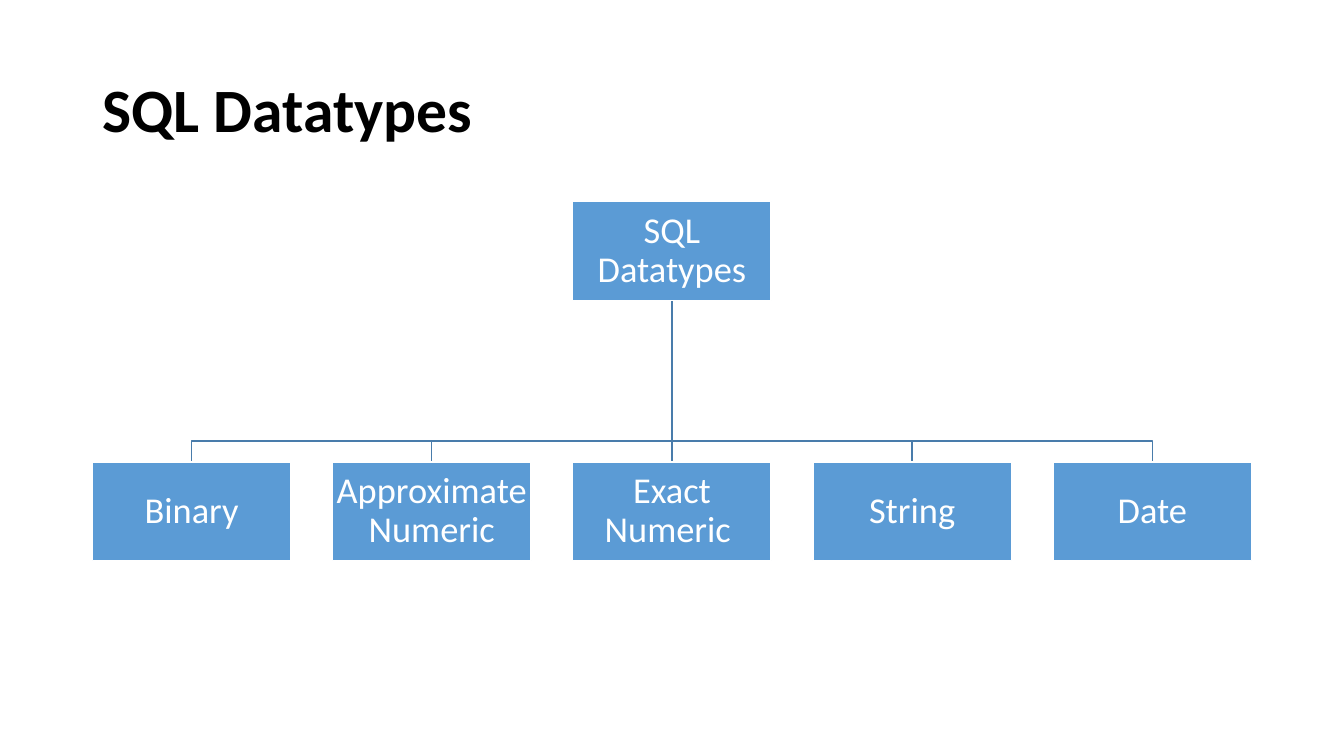
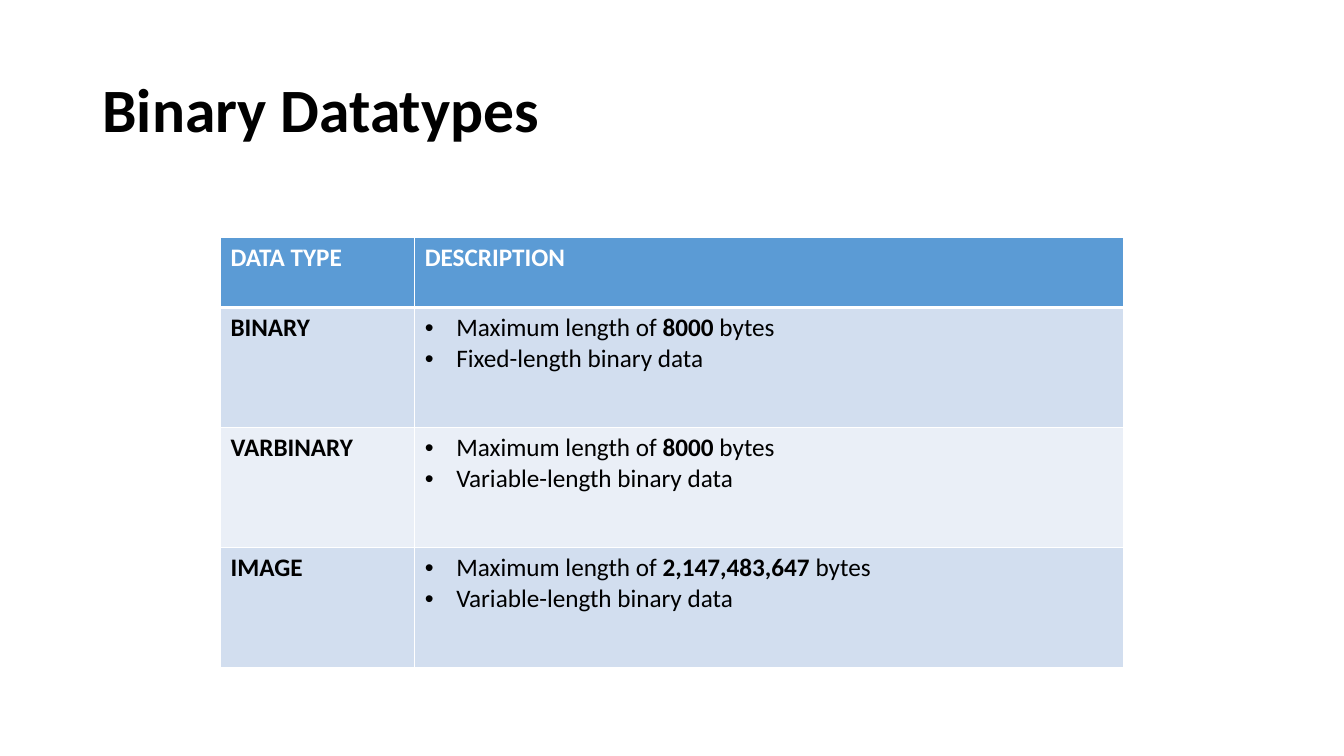
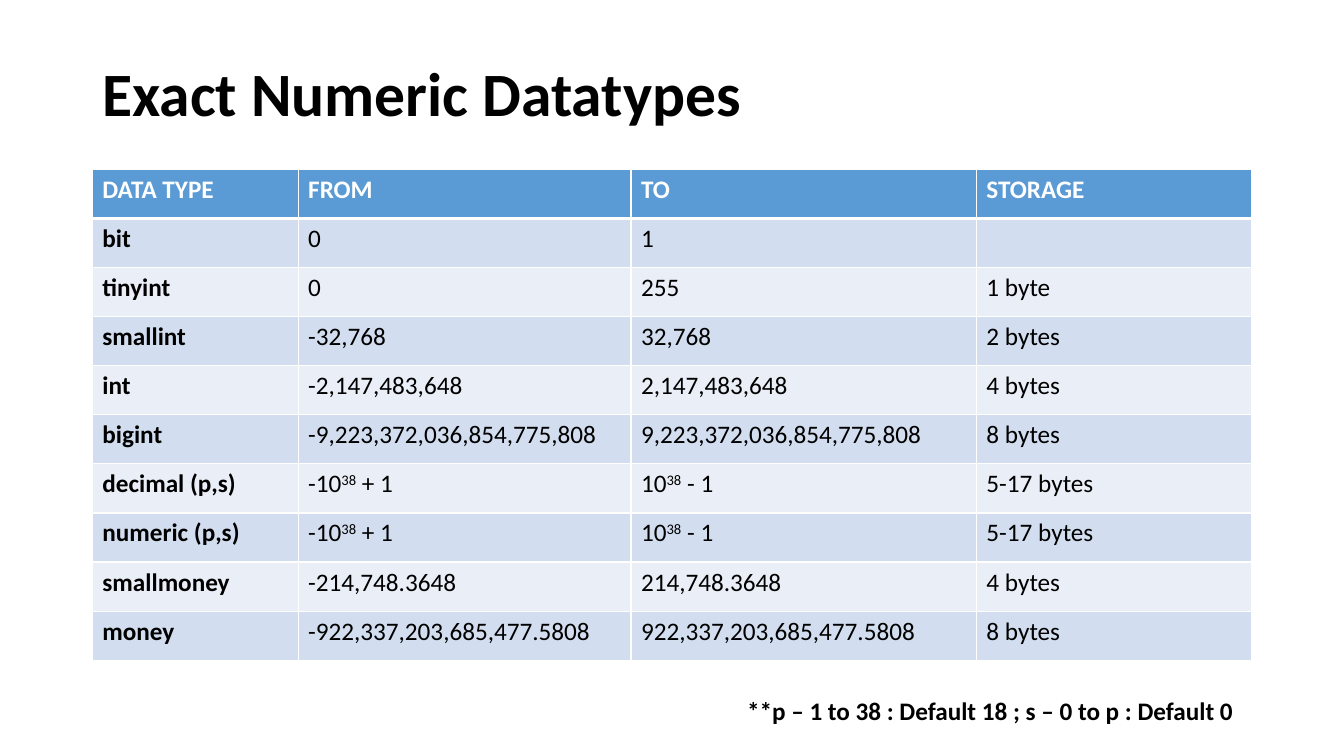
from lxml.etree import SubElement
from pptx import Presentation
from pptx.dml.color import RGBColor
from pptx.enum.shapes import MSO_CONNECTOR, MSO_SHAPE
from pptx.enum.text import MSO_ANCHOR, MSO_AUTO_SIZE, PP_ALIGN
from pptx.oxml.ns import qn
from pptx.util import Emu, Pt

EMU_PER_PX = 9525
FONT = "Calibri"
BLACK = RGBColor(0x00, 0x00, 0x00)
WHITE = RGBColor(0xFF, 0xFF, 0xFF)
BLUE = RGBColor(0x5B, 0x9B, 0xD5)
LINE_BLUE = RGBColor(0x49, 0x7C, 0xAB)
BANDS = (RGBColor(0xD2, 0xDE, 0xEF), RGBColor(0xEA, 0xEF, 0xF7))

LEFT, WIDTH = 88, 1104
TITLE_HEIGHT = 139
NODE_WIDTH, NODE_HEIGHT = 189, 94
DROP = 20
BULLET_INDENT = 30

DATATYPE_GROUPS = ["Binary", "Approximate Numeric", "Exact Numeric ", "String", "Date"]

# *...* marks bold, ^...^ marks superscript
BINARY_ROWS = [
    ["DATA TYPE", "DESCRIPTION"],
    ["BINARY", "Maximum length of *8000* bytes\nFixed-length binary data"],
    ["VARBINARY", "Maximum length of *8000* bytes\nVariable-length binary data"],
    ["IMAGE", "Maximum length of *2,147,483,647* bytes\nVariable-length binary data"],
]
NUMERIC_ROWS = [
    ["DATA TYPE", "FROM", "TO", "STORAGE"],
    ["bit", "0", "1", ""],
    ["tinyint", "0", "255", "1 byte"],
    ["smallint", "-32,768", "32,768", "2 bytes"],
    ["int", "-2,147,483,648", "2,147,483,648", "4 bytes"],
    ["bigint", "-9,223,372,036,854,775,808", "9,223,372,036,854,775,808", "8 bytes"],
    ["decimal (p,s)", "-10^38^ + 1", "10^38^ - 1", "5-17 bytes"],
    ["numeric (p,s)", "-10^38^ + 1", "10^38^ - 1", "5-17 bytes"],
    ["smallmoney", "-214,748.3648", "214,748.3648", "4 bytes"],
    ["money", "-922,337,203,685,477.5808", "922,337,203,685,477.5808", "8 bytes"],
]


def px(length):
    return Emu(round(length * EMU_PER_PX))


def style_font(font, size, color, bold=False):
    font.name = FONT
    font.size = Pt(size)
    font.color.rgb = color
    font.bold = bold


def add_titled_slide(prs, title, top):
    """Title Only slide with the shared title style."""
    slide = prs.slides.add_slide(prs.slide_layouts[5])
    heading = slide.shapes.title
    heading.left, heading.top = px(LEFT), px(top)
    heading.width, heading.height = px(WIDTH), px(TITLE_HEIGHT)
    frame = heading.text_frame
    frame.text = title
    frame.auto_size = MSO_AUTO_SIZE.NONE
    frame.vertical_anchor = MSO_ANCHOR.MIDDLE
    paragraph = frame.paragraphs[0]
    paragraph.alignment = PP_ALIGN.LEFT
    paragraph.line_spacing = 0.9
    style_font(paragraph.runs[0].font, 44, BLACK, True)
    return slide


# Hierarchy diagram
def add_node(slide, label, left, top):
    node = slide.shapes.add_shape(
        MSO_SHAPE.RECTANGLE, px(left), px(top), px(NODE_WIDTH), px(NODE_HEIGHT))
    node.shadow.inherit = False
    node.fill.solid()
    node.fill.fore_color.rgb = BLUE
    node.line.color.rgb = WHITE
    node.line.width = Pt(1)
    frame = node.text_frame
    frame.text = label
    frame.word_wrap = True
    frame.vertical_anchor = MSO_ANCHOR.MIDDLE
    frame.margin_left = frame.margin_right = px(2)
    frame.margin_top = frame.margin_bottom = px(2)
    paragraph = frame.paragraphs[0]
    paragraph.alignment = PP_ALIGN.CENTER
    paragraph.line_spacing = 0.9
    style_font(paragraph.runs[0].font, 26, WHITE)


def add_branch(slide, start_x, start_y, end_x, end_y):
    """Straight line to the child below, elbow to the others."""
    if start_x == end_x:
        branch = slide.shapes.add_connector(
            MSO_CONNECTOR.STRAIGHT, px(start_x), px(start_y), px(end_x), px(end_y))
        SubElement(branch._element.spPr, qn("a:effectLst"))
    else:
        bend_y = end_y - DROP
        builder = slide.shapes.build_freeform(px(start_x), px(start_y))
        corners = [(start_x, bend_y), (end_x, bend_y), (end_x, end_y)]
        builder.add_line_segments([(px(x), px(y)) for x, y in corners], close=False)
        branch = builder.convert_to_shape()
        branch.shadow.inherit = False
        branch.fill.background()
    branch.line.color.rgb = LINE_BLUE
    branch.line.width = Pt(1)


def add_hierarchy(slide, root, children, left, top, width, height):
    pitch = (width - NODE_WIDTH) / (len(children) - 1)
    root_left = left + (width - NODE_WIDTH) / 2
    child_top = top + height - NODE_HEIGHT
    child_lefts = [left + i * pitch for i in range(len(children))]
    half = NODE_WIDTH / 2
    for child_left in child_lefts:
        add_branch(slide, root_left + half, top + NODE_HEIGHT, child_left + half, child_top)
    add_node(slide, root, root_left, top)
    for label, child_left in zip(children, child_lefts):
        add_node(slide, label, child_left, child_top)


# Datatype tables
def set_borders(cell, row):
    weights = {"L": 1, "R": 1, "T": 3 if row == 1 else 1, "B": 3 if row == 0 else 1}
    properties = cell._tc.get_or_add_tcPr()
    for side, weight in weights.items():
        border = SubElement(properties, qn(f"a:ln{side}"), w=str(Pt(weight)))
        fill = SubElement(border, qn("a:solidFill"))
        SubElement(fill, qn("a:srgbClr"), val=str(WHITE))


def set_bullet(paragraph):
    properties = paragraph._p.get_or_add_pPr()
    properties.set("marL", str(px(BULLET_INDENT)))
    properties.set("indent", str(-px(BULLET_INDENT)))
    SubElement(properties, qn("a:buFont"), typeface="Arial")
    SubElement(properties, qn("a:buChar"), char="•")


def write_marked(paragraph, text, color, bold):
    mark = "^" if "^" in text else "*"
    for i, piece in enumerate(text.split(mark)):
        marked = i % 2 == 1
        run = paragraph.add_run()
        run.text = piece
        style_font(run.font, 18, color, bold or (marked and mark == "*"))
        if marked and mark == "^":
            run._r.get_or_add_rPr().set("baseline", "30000")


def fill_cell(cell, text, row, column, bulleted):
    header = row == 0
    set_borders(cell, row)
    cell.fill.solid()
    cell.fill.fore_color.rgb = BLUE if header else BANDS[(row - 1) % 2]
    frame = cell.text_frame
    for i, line in enumerate(text.split("\n")):
        paragraph = frame.add_paragraph() if i else frame.paragraphs[0]
        if bulleted and not header and column > 0:
            set_bullet(paragraph)
        if line:
            write_marked(paragraph, line, WHITE if header else BLACK, header or column == 0)
        else:
            paragraph.font.size = Pt(18)


def add_datatype_table(slide, rows, left, top, widths, height, header_height, bulleted=False):
    table = slide.shapes.add_table(
        len(rows), len(widths), px(left), px(top), px(sum(widths)), px(height)).table
    table.first_row = table.horz_banding = False
    for column, width in zip(table.columns, widths):
        column.width = px(width)
    body_height = (height - header_height) / (len(rows) - 1)
    for r, texts in enumerate(rows):
        table.rows[r].height = px(body_height if r else header_height)
        for c, text in enumerate(texts):
            fill_cell(table.cell(r, c), text, r, c, bulleted)


def add_footnote(slide, text, left, top, width, height):
    frame = slide.shapes.add_textbox(px(left), px(top), px(width), px(height)).text_frame
    frame.text = text
    frame.word_wrap = False
    frame.auto_size = MSO_AUTO_SIZE.SHAPE_TO_FIT_TEXT
    style_font(frame.paragraphs[0].runs[0].font, 18, BLACK, True)


def main():
    prs = Presentation()
    prs.slide_width, prs.slide_height = px(1280), px(720)

    overview = add_titled_slide(prs, "SQL Datatypes", 38)
    add_hierarchy(overview, "SQL Datatypes", DATATYPE_GROUPS, LEFT, 192, WIDTH, 342)

    binary = add_titled_slide(prs, "Binary Datatypes", 38)
    add_datatype_table(binary, BINARY_ROWS, 210, 226, [185, 675], 410, 67, bulleted=True)

    numeric = add_titled_slide(prs, "Exact Numeric Datatypes", 22)
    add_datatype_table(numeric, NUMERIC_ROWS, LEFT, 161, [196, 317, 329, 262], 468, 47)
    add_footnote(numeric, "**p – 1 to 38 : Default 18 ; s – 0 to p : Default 0", 702, 657, 490, 38)

    prs.save("out.pptx")


if __name__ == "__main__":
    main()
